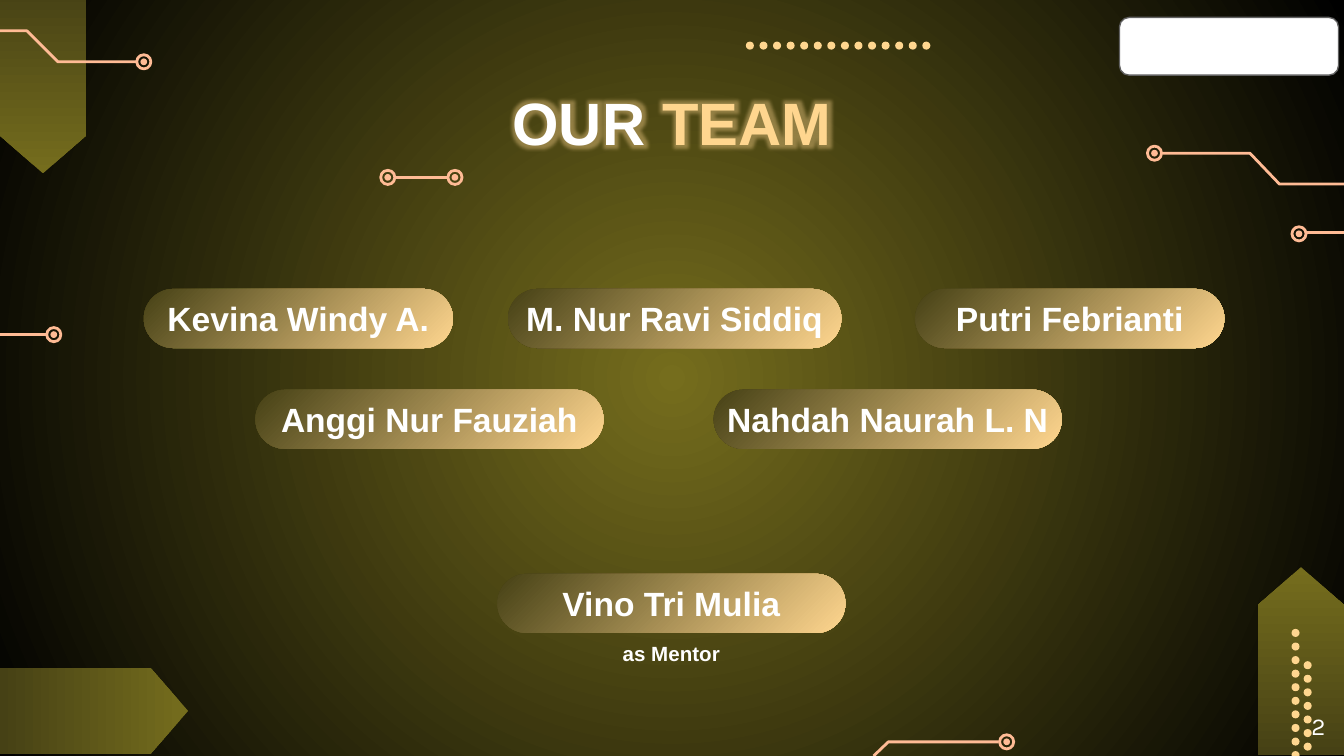
"""Build the team slide on a grid of 100 columns by 56.25 rows."""
from typing import NamedTuple

from pptx import Presentation
from pptx.dml.color import RGBColor
from pptx.enum.shapes import MSO_CONNECTOR, MSO_SHAPE
from pptx.enum.text import MSO_ANCHOR, PP_ALIGN
from pptx.oxml import parse_xml
from pptx.oxml.ns import nsdecls, qn
from pptx.oxml.xmlchemy import OxmlElement
from pptx.util import Inches, Pt

COLS, ROWS = 100, 56.25
CELL = Inches(10) / COLS
OVAL, ROUND = MSO_SHAPE.OVAL, MSO_SHAPE.ROUNDED_RECTANGLE
FLAG = MSO_SHAPE.FLOWCHART_OFFPAGE_CONNECTOR
STRAIGHT = MSO_CONNECTOR.STRAIGHT
MIDDLE, TOP = MSO_ANCHOR.MIDDLE, MSO_ANCHOR.TOP
CENTER, RIGHT = PP_ALIGN.CENTER, PP_ALIGN.RIGHT
WHITE = RGBColor(0xFF, 0xFF, 0xFF)
BLACK = RGBColor(0, 0, 0)
GREY = RGBColor(0x60, 0x60, 0x60)
OLIVE = RGBColor(0x75, 0x6D, 0x1D)
DARK = RGBColor(0x46, 0x41, 0x15)
GOLD = RGBColor(0xFF, 0xD6, 0x8F)
PEACH = RGBColor(0xFF, 0xBB, 0x95)
RING, CORE, DOT, STEP = 1.05, 0.5, 0.6, 1.01
PILL_H = 4.4


class Box(NamedTuple):
    """A place on the grid: column, row, width and height."""
    col: float
    row: float
    wide: float
    high: float


class Pill(NamedTuple):
    """A name on a rounded bar."""
    name: str
    col: float
    row: float
    wide: float


class Trace(NamedTuple):
    """A circuit wire and the centres of its end nodes."""
    wire: list
    nodes: list


class Dots(NamedTuple):
    """A run of dots from a first place, across or down."""
    col: float
    row: float
    count: int
    down: bool


class Flag(NamedTuple):
    """A pointed banner and its turn in degrees."""
    col: float
    row: float
    turn: int


class Part(NamedTuple):
    """A run of text with its look."""
    text: str
    size: float
    color: RGBColor = WHITE
    font: str = "Arial"
    bold: bool = True
    glow: bool = False


FLAGS = [Flag(0, -1.1, 0), Flag(3.8, 45.9, 270), Flag(93.6, 42.2, 180)]
TRACES = [
    Trace([(0, 2.3), (2, 2.3), (4.3, 4.6), (10.2, 4.6)], [(10.7, 4.6)]),
    Trace([(0, 24.9), (3.4, 24.9)], [(4, 24.9)]),
    Trace([(65, 56.25), (66.1, 55.2), (74.3, 55.2)], [(74.9, 55.2)]),
    Trace([(97.2, 17.3), (100, 17.3)], [(96.65, 17.4)]),
    Trace([(86.5, 11.4), (93, 11.4), (95.2, 13.7), (100, 13.7)], [(85.9, 11.4)]),
    Trace([(29.4, 13.2), (33.3, 13.2)], [(28.85, 13.2), (33.85, 13.2)]),
]
DOTS = [Dots(55.5, 3.1, 14, False), Dots(96.1, 46.8, 10, True), Dots(97, 49.2, 7, True)]
PILLS = [
    Pill("Kevina Windy A.", 10.7, 21.5, 23),
    Pill("M. Nur Ravi Siddiq", 37.8, 21.5, 24.8),
    Pill("Putri Febrianti", 68.1, 21.5, 23),
    Pill("Anggi Nur Fauziah", 19, 29, 25.9),
    Pill("Nahdah Naurah L. N", 53.1, 29, 25.9),
    Pill("Vino Tri Mulia", 37, 42.7, 25.9),
]


def emu(*cells: float) -> list:
    """Turn grid cells into slide units."""
    return [round(cell * CELL) for cell in cells]


def blend(fill, first: RGBColor, last: RGBColor, angle: float = 0) -> None:
    """Fill with a gradient of two colours."""
    fill.gradient()
    fill.gradient_angle = angle
    for stop, color, place in zip(fill.gradient_stops, (first, last), (0, 1)):
        stop.color.rgb, stop.position = color, place


def paint(slide) -> None:
    """Give the slide a round gradient from its centre."""
    blend(slide.background.fill, OLIVE, BLACK)
    grad = slide.element.find(".//" + qn("a:gradFill"))
    grad.replace(grad.find(qn("a:lin")), parse_xml(
        f'<a:path {nsdecls("a")} path="circle">'
        '<a:fillToRect l="50000" t="50000" r="50000" b="50000"/></a:path>'))


def form(slide, kind, box: Box, color: RGBColor | None = None):
    """Add a flat preset shape without a line."""
    shape = slide.shapes.add_shape(kind, *emu(*box))
    shape.shadow.inherit = False
    shape.line.fill.background()
    if color is None:
        shape.fill.background()
    else:
        shape.fill.solid()
        shape.fill.fore_color.rgb = color
    return shape


def stroke(line, color: RGBColor, width: float) -> None:
    """Set the colour and width of a line."""
    line.color.rgb, line.width = color, Pt(width)


def write(shape, parts: list, align=CENTER, anchor=MIDDLE, wrap: bool = True) -> None:
    """Write runs of text into a shape."""
    frame = shape.text_frame
    frame.word_wrap, frame.vertical_anchor = wrap, anchor
    frame.margin_left = frame.margin_right = Inches(0.1)
    frame.margin_top = frame.margin_bottom = Inches(0.1)
    line = frame.paragraphs[0]
    line.alignment = align
    for part in parts:
        run = line.add_run()
        run.text = part.text
        font = run.font
        font.size, font.bold, font.name = Pt(part.size), part.bold, part.font
        font.color.rgb = part.color
        if part.glow:
            run.font.fill.fore_color.rgb = part.color
            run._r.rPr.find(qn("a:solidFill")).addnext(parse_xml(
                f'<a:effectLst {nsdecls("a")}><a:glow rad="127000">'
                f'<a:srgbClr val="{part.color}"><a:alpha val="40000"/></a:srgbClr>'
                '</a:glow></a:effectLst>'))


def label(slide, box: Box, parts: list, align=CENTER, anchor=MIDDLE) -> None:
    """Add a text box."""
    write(slide.shapes.add_textbox(*emu(*box)), parts, align, anchor)


def disc(slide, col: float, row: float, size: float, color: RGBColor | None = None):
    """Add a circle about a centre."""
    return form(slide, OVAL, Box(col - size / 2, row - size / 2, size, size), color)


def trace(slide, item: Trace) -> None:
    """Draw a wire with its nodes."""
    first, *rest = [emu(*point) for point in item.wire]
    if len(rest) == 1:
        wire = slide.shapes.add_connector(STRAIGHT, *first, *rest[0])
        wire._element.spPr.append(OxmlElement("a:effectLst"))
    else:
        pen = slide.shapes.build_freeform(*first)
        pen.add_line_segments(rest, close=False)
        wire = pen.convert_to_shape()
        wire.fill.background()
        wire.shadow.inherit = False
    stroke(wire.line, PEACH, 1.5)
    for node in item.nodes:
        stroke(disc(slide, *node, RING).line, PEACH, 1.5)
        disc(slide, *node, CORE, PEACH)


def dots(slide, item: Dots) -> None:
    """Draw a run of dots."""
    for i in range(item.count):
        col = item.col + i * STEP * (not item.down)
        row = item.row + i * STEP * item.down
        form(slide, OVAL, Box(col, row, DOT, DOT), GOLD)


def main() -> None:
    """Build and save the slide."""
    deck = Presentation()
    deck.slide_width, deck.slide_height = emu(COLS, ROWS)
    slide = deck.slides.add_slide(deck.slide_layouts[6])
    paint(slide)
    plate = form(slide, ROUND, Box(83.3, 1.3, 16.3, 4.3), WHITE)
    stroke(plate.line, GREY, 0.75)
    for flag in FLAGS:
        shape = form(slide, FLAG, Box(flag.col, flag.row, 6.4, 14))
        blend(shape.fill, OLIVE, DARK, 90)
        shape.rotation = flag.turn
    for item in TRACES:
        trace(slide, item)
    for item in DOTS:
        dots(slide, item)
    for pill in PILLS:
        shape = form(slide, ROUND, Box(pill.col, pill.row, pill.wide, PILL_H))
        shape.adjustments[0] = 0.5
        blend(shape.fill, DARK, GOLD, 315)
        write(shape, [Part(pill.name, 18)], wrap=False)
    label(slide, Box(7.8, 5.9, 84.4, 6.3),
          [Part("OUR ", 32), Part("TEAM", 32, GOLD, glow=True)])
    label(slide, Box(33.7, 47.1, 32.5, 3), [Part("as Mentor", 11)])
    label(slide, Box(93.6, 51.9, 6, 4.3),
          [Part("2", 13, font="Karla", bold=False)], RIGHT, TOP)
    deck.save("out.pptx")


if __name__ == "__main__":
    main()
